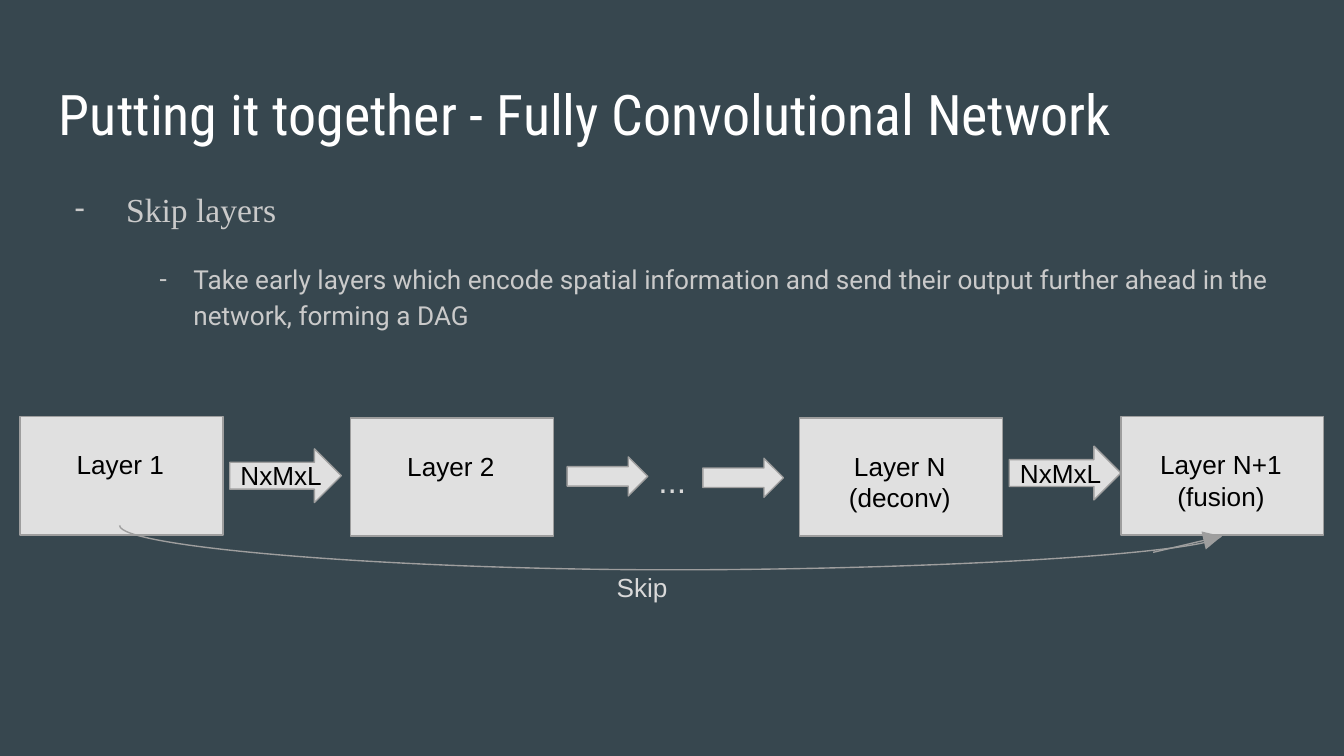
from lxml import etree
from pptx import Presentation
from pptx.dml.color import RGBColor
from pptx.enum.shapes import MSO_CONNECTOR, MSO_SHAPE
from pptx.enum.text import PP_ALIGN
from pptx.oxml.ns import qn
from pptx.util import Inches, Pt

RECT, ARROW = MSO_SHAPE.RECTANGLE, MSO_SHAPE.RIGHT_ARROW
LINE, CURVE = MSO_CONNECTOR.STRAIGHT, MSO_CONNECTOR.CURVE
LEFT, CENTER = PP_ALIGN.LEFT, PP_ALIGN.CENTER

THEME = {
    "back": "37474F", "title": "FFFFFF", "body": "CACACA", "fill": "E0E0E0",
    "edge": "9E9E9E", "dark": "000000", "light": "D9D9D9",
    "big": 30, "mid": 18, "small": 14, "line": 0.75,
    "head": "Roboto Condensed", "serif": "Times New Roman",
    "sans": "Roboto", "plain": "Arial",
}

WIDE = 10
TALL = WIDE * 9 / 16
TITLE = "Putting it together - Fully Convolutional Network"
# text, font, size, left margin, hanging indent, level
BODY = [
    ("Skip layers", "serif", "mid", 0.5, -0.38, 0),
    ("Take early layers which encode spatial information and send their "
     "output further ahead in the network, forming a DAG",
     "sans", "small", 1, -0.25, 1),
]
# left, top, lines
LAYERS = [
    (0.15, 3.1, ["Layer 1"]),
    (2.61, 3.11, ["Layer 2"]),
    (5.95, 3.11, ["Layer N", "(deconv)"]),
    (8.34, 3.1, ["Layer N+1", "(fusion)"]),
]
BOX = (1.51, 0.88)
# left, top, width, height
FLOWS = [(1.71, 3.34, 0.83, 0.4), (7.51, 3.32, 0.83, 0.4)]
STEPS = [(4.22, 3.4, 0.6, 0.29), (5.23, 3.41, 0.6, 0.29)]
# text, size, colour, left, top, width, height
NOTES = [
    ("...", "mid", "light", 4.8, 3.32, 0.43, 0.66),
    ("Skip", "small", "light", 4.49, 4.15, 0.6, 0.66),
]
SKIP = ((0.89, 3.91), (9.09, 3.98))
SAG = 4.24
TIP = ((8.58, 4.11), (9.09, 3.99))


def color(name):
    return RGBColor.from_string(THEME[name])


def add_run(para, text, font, size, tone):
    run = para.add_run()
    run.text = text
    run.font.name = THEME[font]
    run.font.size = Pt(THEME[size])
    run.font.color.rgb = color(tone)


def add_frame(slide, spot):
    frame = slide.shapes.add_textbox(*map(Inches, spot)).text_frame
    frame.word_wrap = True
    frame.margin_left = frame.margin_right = Inches(0.1)
    frame.margin_top = frame.margin_bottom = Inches(0.1)
    return frame


def get_para(frame, i):
    return frame.add_paragraph() if i else frame.paragraphs[0]


def add_text(slide, spot, lines, font, size, tone, align=LEFT):
    frame = add_frame(slide, spot)
    for i, text in enumerate(lines):
        para = get_para(frame, i)
        para.alignment = align
        add_run(para, text, font, size, tone)


def add_body(slide, spot):
    frame = add_frame(slide, spot)
    for i, (text, font, size, margin, indent, level) in enumerate(BODY):
        para = get_para(frame, i)
        para.level = level
        para.line_spacing = 1.15
        para.space_after = Pt(16)
        props = para._p.get_or_add_pPr()
        props.set("marL", str(Inches(margin)))
        props.set("indent", str(Inches(indent)))
        tint = etree.SubElement(props, qn("a:buClr"))
        etree.SubElement(tint, qn("a:srgbClr"), val=THEME["body"])
        etree.SubElement(props, qn("a:buFont"), typeface=THEME["sans"])
        etree.SubElement(props, qn("a:buChar"), char="-")
        add_run(para, text, font, size, "body")


def add_block(slide, kind, spot):
    shape = slide.shapes.add_shape(kind, *map(Inches, spot))
    shape.shadow.inherit = False
    shape.fill.solid()
    shape.fill.fore_color.rgb = color("fill")
    shape.line.color.rgb = color("edge")
    shape.line.width = Pt(THEME["line"])


def add_link(slide, kind, start, end):
    link = slide.shapes.add_connector(kind, *map(Inches, start + end))
    link.line.color.rgb = color("edge")
    link.line.width = Pt(THEME["line"])
    etree.SubElement(link._element.spPr, qn("a:effectLst"))
    return link


def add_skip(slide):
    """Hang a curve below both ends: a curved connector turned by 270 degrees."""
    (x1, y1), (x2, y2) = SKIP
    wide, drop = x2 - x1, y2 - y1
    mid_x, mid_y = (x1 + x2) / 2, (y1 + y2) / 2
    link = add_link(slide, CURVE, (mid_x - drop / 2, mid_y - wide / 2),
                    (mid_x + drop / 2, mid_y + wide / 2))
    props = link._element.spPr
    frame = props.find(qn("a:xfrm"))
    frame.set("rot", str(270 * 60000))
    frame.set("flipH", "1")
    guides = props.find(qn("a:prstGeom")).get_or_add_avLst()
    bend = round((SAG - y1) / drop * 100000)
    etree.SubElement(guides, qn("a:gd"), name="adj1", fmla=f"val {bend}")


def main():
    deck = Presentation()
    deck.slide_width, deck.slide_height = Inches(WIDE), Inches(TALL)
    slide = deck.slides.add_slide(deck.slide_layouts[6])
    slide.background.fill.solid()
    slide.background.fill.fore_color.rgb = color("back")

    add_text(slide, (0.34, 0.49, 9.32, 0.63), [TITLE], "head", "big", "title")
    add_body(slide, (0.34, 1.26, 9.32, 3.74))

    for left, top, lines in LAYERS:
        add_block(slide, RECT, (left, top, *BOX))
        add_text(slide, (left - 0.01, top + 0.14, BOX[0], 0.66), lines,
                 "plain", "small", "dark", CENTER)
    for spot in FLOWS + STEPS:
        add_block(slide, ARROW, spot)
    for left, top, _, _ in FLOWS:
        add_text(slide, (left - 0.02, top - 0.02, 0.92, 0.44), ["NxMxL"],
                 "plain", "small", "dark")
    for text, size, tone, *spot in NOTES:
        add_text(slide, spot, [text], "plain", size, tone)

    add_skip(slide)
    tip = add_link(slide, LINE, *TIP)
    etree.SubElement(tip.line._get_or_add_ln(), qn("a:tailEnd"),
                     type="triangle", w="lg", len="lg")
    deck.save("out.pptx")


if __name__ == "__main__":
    main()
